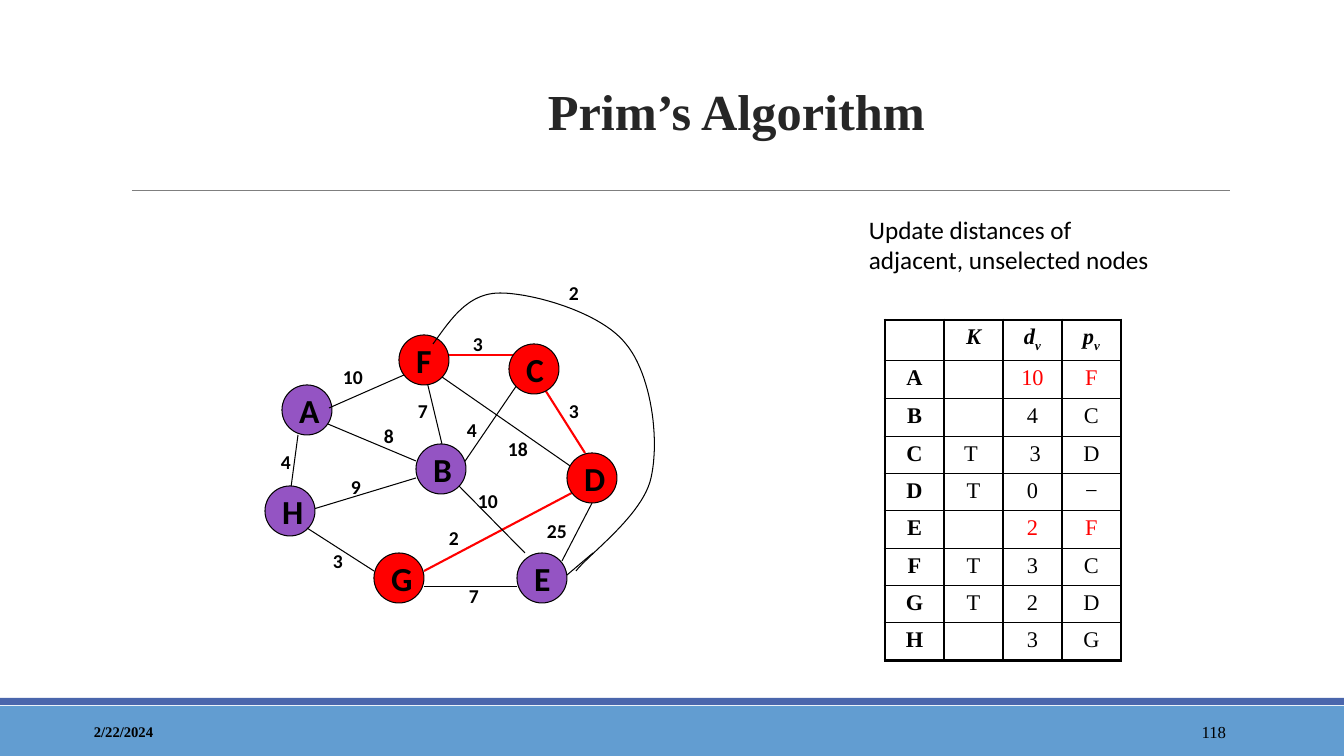
"""Build the slide that shows one step of Prim's algorithm on a weighted graph."""
from dataclasses import dataclass
from typing import Any, NamedTuple

from lxml.etree import SubElement
from pptx import Presentation
from pptx.dml.color import RGBColor as Rgb
from pptx.enum.shapes import MSO_CONNECTOR as Connector, MSO_SHAPE as Preset
from pptx.enum.text import MSO_ANCHOR as Anchor, MSO_AUTO_SIZE as AutoSize, PP_ALIGN as Align
from pptx.oxml.ns import qn
from pptx.util import Pt

SCALE = 914400 / 100.8


@dataclass(frozen=True)
class Theme:
    serif: str = "Times New Roman"
    sans: str = "Calibri"
    black: str = "000000"
    title: str = "262626"
    selected: str = "FF0000"
    unselected: str = "9454C3"
    rule: str = "7F7F7F"
    footer: str = "629DD1"
    footer_edge: str = "4A66AC"
    title_size: float = 36
    node_size: float = 24
    note_size: float = 18
    table_size: float = 16
    weight_size: float = 14
    page_size: float = 12
    date_size: float = 10.5
    thin: float = 0.75
    grid: float = 1
    chosen: float = 1.5
    frame: float = 2.25


THEME = Theme()


class Box(NamedTuple):
    left: int
    top: int
    width: int
    height: int


class Node(NamedTuple):
    name: str
    left: int
    top: int
    selected: bool = False


class Edge(NamedTuple):
    x1: int
    y1: int
    x2: int
    y2: int
    chosen: bool = False


class Weight(NamedTuple):
    value: str
    left: int
    top: int


class Entry(NamedTuple):
    vertex: str
    known: str
    distance: str
    parent: str
    height: int
    updated: bool = False


BACK_EDGES = [
    Edge(605, 478, 562, 561), Edge(424, 369, 442, 444), Edge(459, 470, 517, 385),
    Edge(576, 470, 442, 377), Edge(307, 511, 416, 478), Edge(424, 571, 585, 486, True),
    Edge(290, 495, 298, 435), Edge(316, 419, 416, 461), Edge(447, 355, 525, 355, True),
    Edge(542, 385, 585, 453, True),
]
FRONT_EDGES = [
    Edge(459, 486, 525, 553), Edge(517, 587, 424, 587), Edge(374, 571, 307, 528),
    Edge(329, 408, 404, 375), Edge(593, 553, 567, 575),
]
NODES = [
    Node("A", 282, 385), Node("H", 265, 486), Node("B", 416, 444), Node("F", 399, 335, True),
    Node("E", 517, 553), Node("D", 567, 453, True), Node("C", 509, 344, True),
    Node("G", 374, 553, True),
]
WEIGHTS = [
    Weight("4", 271, 445), Weight("25", 537, 514), Weight("7", 459, 579), Weight("2", 439, 521),
    Weight("10", 468, 484), Weight("18", 498, 432), Weight("3", 559, 394), Weight("4", 457, 413),
    Weight("3", 463, 327), Weight("7", 408, 394), Weight("8", 374, 419), Weight("9", 341, 470),
    Weight("3", 323, 544), Weight("10", 333, 360), Weight("2", 559, 276),
]
LONG_EDGE_START = (433, 344)
LONG_EDGE_CURVES = [
    ((451, 319), (468, 293), (500, 293)), ((532, 293), (601, 312), (626, 344)),
    ((651, 374), (660, 439), (651, 478)), ((643, 515), (589, 554), (576, 571)),
]
ENTRIES = [
    Entry("", "K", "dv", "pv", 38), Entry("A", "", "10", "F", 38, True),
    Entry("B", "", "4", "C", 38), Entry("C", "T ", " 3", "D", 37),
    Entry("D", "T", "0", "−", 37), Entry("E", "", "2", "F", 38, True),
    Entry("F", "T", "3", "C", 37), Entry("G", "T", "2", "D", 37), Entry("H", "", "3", "G", 38),
]


def px(length: float) -> int:
    return round(length * SCALE)


def emu(box: Box) -> list[int]:
    return [px(length) for length in box]


def apply(target: Any, values: dict[str, Any]) -> None:
    for name, value in values.items():
        setattr(target, name, value)


def write(paragraph: Any, text: str, size: float, face: str, color: str = THEME.black,
          bold: bool = False, italic: bool = False) -> Any:
    run = paragraph.add_run()
    run.text = text
    apply(run.font, {"size": Pt(size), "name": face, "bold": bold, "italic": italic})
    run.font.color.rgb = Rgb.from_string(color)
    return run


def add_text(slide: Any, box: Box, text: str, size: float, face: str, bold: bool = False,
             anchor: Anchor = Anchor.TOP, align: Align = Align.LEFT) -> None:
    frame = slide.shapes.add_textbox(*emu(box)).text_frame
    apply(frame, {"word_wrap": True, "vertical_anchor": anchor})
    frame.paragraphs[0].alignment = align
    write(frame.paragraphs[0], text, size, face, bold=bold)


def add_filled(slide: Any, preset: Preset, box: Box, color: str) -> Any:
    shape = slide.shapes.add_shape(preset, *emu(box))
    shape.shadow.inherit = False
    shape.fill.solid()
    shape.fill.fore_color.rgb = Rgb.from_string(color)
    shape.line.fill.background()
    return shape


def set_line(line: Any, color: str, width: float) -> None:
    line.color.rgb = Rgb.from_string(color)
    line.width = Pt(width)


def add_edge(slide: Any, edge: Edge, color: str = THEME.black) -> None:
    link = slide.shapes.add_connector(Connector.STRAIGHT, *[px(end) for end in edge[:4]])
    set_line(link.line, THEME.selected if edge.chosen else color,
             THEME.chosen if edge.chosen else THEME.thin)
    SubElement(link._element.spPr, qn("a:effectLst"))


def add_node(slide: Any, node: Node) -> None:
    fill = THEME.selected if node.selected else THEME.unselected
    circle = add_filled(slide, Preset.OVAL, Box(node.left, node.top, 50, 50), fill)
    set_line(circle.line, THEME.black, THEME.thin)
    apply(circle.text_frame, {"word_wrap": True, "vertical_anchor": Anchor.MIDDLE})
    letter = circle.text_frame.paragraphs[0]
    letter.alignment = Align.LEFT
    write(letter, node.name, THEME.node_size, THEME.sans, bold=True)


def add_long_edge(slide: Any, steps: int = 24) -> None:
    start, points = LONG_EDGE_START, []
    for curve in LONG_EDGE_CURVES:
        for t in (step / steps for step in range(1, steps + 1)):
            shares = ((1 - t) ** 3, 3 * t * (1 - t) ** 2, 3 * t * t * (1 - t), t ** 3)
            points.append([px(sum(s * c for s, c in zip(shares, axis)))
                           for axis in zip(start, *curve)])
        start = curve[-1]
    builder = slide.shapes.build_freeform(*[px(c) for c in LONG_EDGE_START])
    builder.add_line_segments(points, close=False)
    outline = builder.convert_to_shape()
    outline.shadow.inherit = False
    outline.fill.background()
    set_line(outline.line, THEME.black, THEME.thin)


def add_borders(cell: Any, outer: dict[str, bool]) -> None:
    for side, on_frame in outer.items():
        width = Pt(THEME.frame if on_frame else THEME.grid)
        border = SubElement(cell._tc.get_or_add_tcPr(), qn(f"a:ln{side}"), w=str(width))
        SubElement(SubElement(border, qn("a:solidFill")), qn("a:srgbClr"), val=THEME.black)


def add_distances(slide: Any) -> None:
    box = Box(885, 320, 236, sum(entry.height for entry in ENTRIES))
    table = slide.shapes.add_table(len(ENTRIES), 4, *emu(box)).table
    apply(table, {"first_row": False, "horz_banding": False})
    for column in table.columns:
        column.width = px(59)
    for r, entry in enumerate(ENTRIES):
        table.rows[r].height = px(entry.height)
        for c, text in enumerate(entry[:4]):
            cell, header = table.cell(r, c), r == 0
            add_borders(cell, {"L": c == 0, "R": c == 3, "T": header, "B": r == len(ENTRIES) - 1})
            cell.fill.background()
            margin = px(5) if text else 0
            apply(cell, {"margin_top": margin, "margin_bottom": margin})
            value = cell.text_frame.paragraphs[0]
            value.alignment = Align.CENTER
            color = THEME.selected if entry.updated and c > 1 else THEME.black
            parts = list(text) if header else [text] if text else []
            for i, part in enumerate(parts):
                run = write(value, part, THEME.table_size, THEME.serif, color,
                            header or c == 0, header)
                if i:
                    run.font._element.set("baseline", "-25000")


def add_title(slide: Any) -> None:
    title = slide.shapes.title
    apply(title, dict(zip(Box._fields, emu(Box(182, 39, 1109, 107)))))
    apply(title.text_frame, {"word_wrap": True, "vertical_anchor": Anchor.BOTTOM,
                             "auto_size": AutoSize.NONE})
    heading = title.text_frame.paragraphs[0]
    apply(heading, {"alignment": Align.CENTER, "line_spacing": 1.1})
    write(heading, "Prim’s Algorithm", THEME.title_size, THEME.serif, THEME.title, True)


def main() -> None:
    deck = Presentation()
    apply(deck, {"slide_width": px(1344), "slide_height": px(756)})
    slide = deck.slides.add_slide(deck.slide_layouts[5])
    add_filled(slide, Preset.RECTANGLE, Box(0, 706, 1344, 50), THEME.footer)
    add_filled(slide, Preset.RECTANGLE, Box(0, 698, 1344, 7), THEME.footer_edge)
    add_edge(slide, Edge(132, 191, 1230, 191), THEME.rule)
    add_text(slide, Box(84, 712, 302, 40), "2/22/2024", THEME.date_size, THEME.serif, True,
             Anchor.MIDDLE)
    add_text(slide, Box(1092, 712, 144, 40), "118", THEME.page_size, THEME.serif,
             anchor=Anchor.MIDDLE, align=Align.RIGHT)
    add_distances(slide)
    add_text(slide, Box(859, 209, 320, 78), "Update distances of adjacent, unselected nodes",
             THEME.note_size, THEME.sans)
    for edge in BACK_EDGES:
        add_edge(slide, edge)
    for node in NODES:
        add_node(slide, node)
    for edge in FRONT_EDGES:
        add_edge(slide, edge)
    add_long_edge(slide)
    for weight in WEIGHTS:
        width = 33 if len(weight.value) == 1 else 52
        add_text(slide, Box(weight.left, weight.top, width, 33), weight.value,
                 THEME.weight_size, THEME.sans, True)
    add_title(slide)
    deck.save("out.pptx")


if __name__ == "__main__":
    main()
